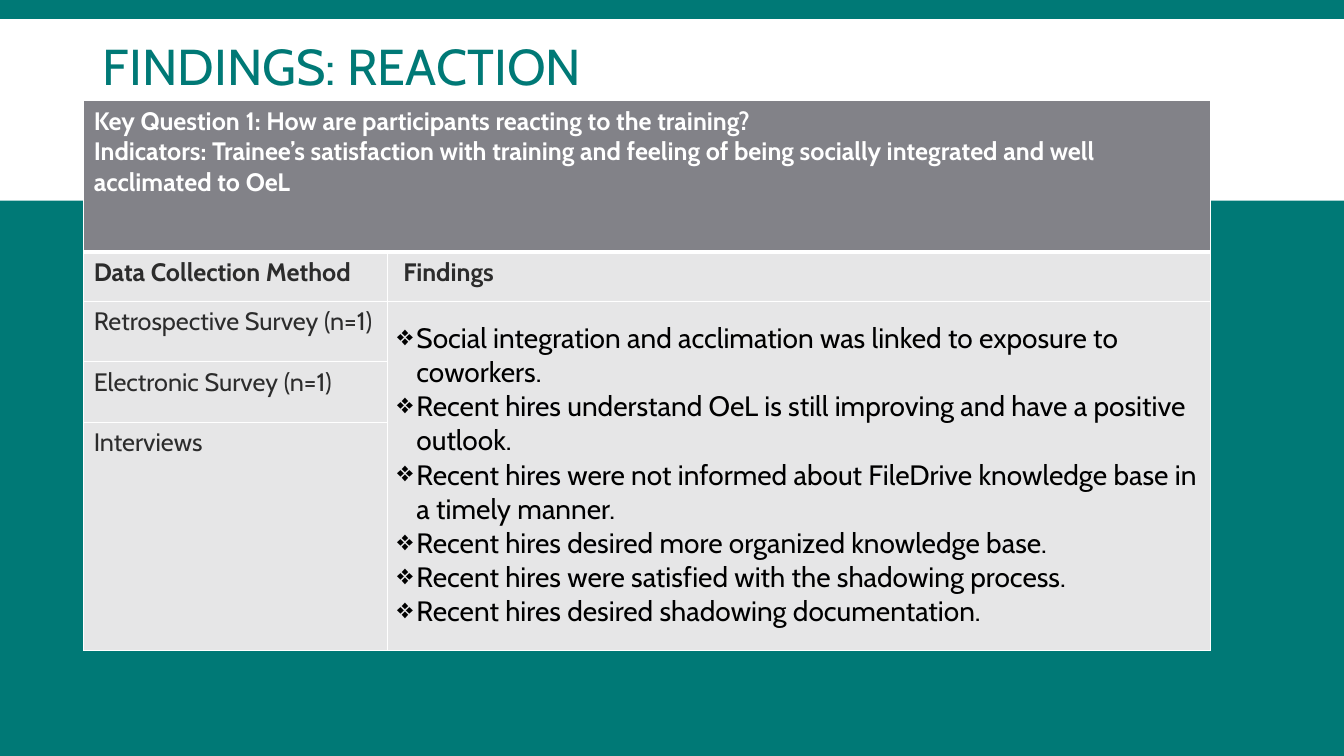
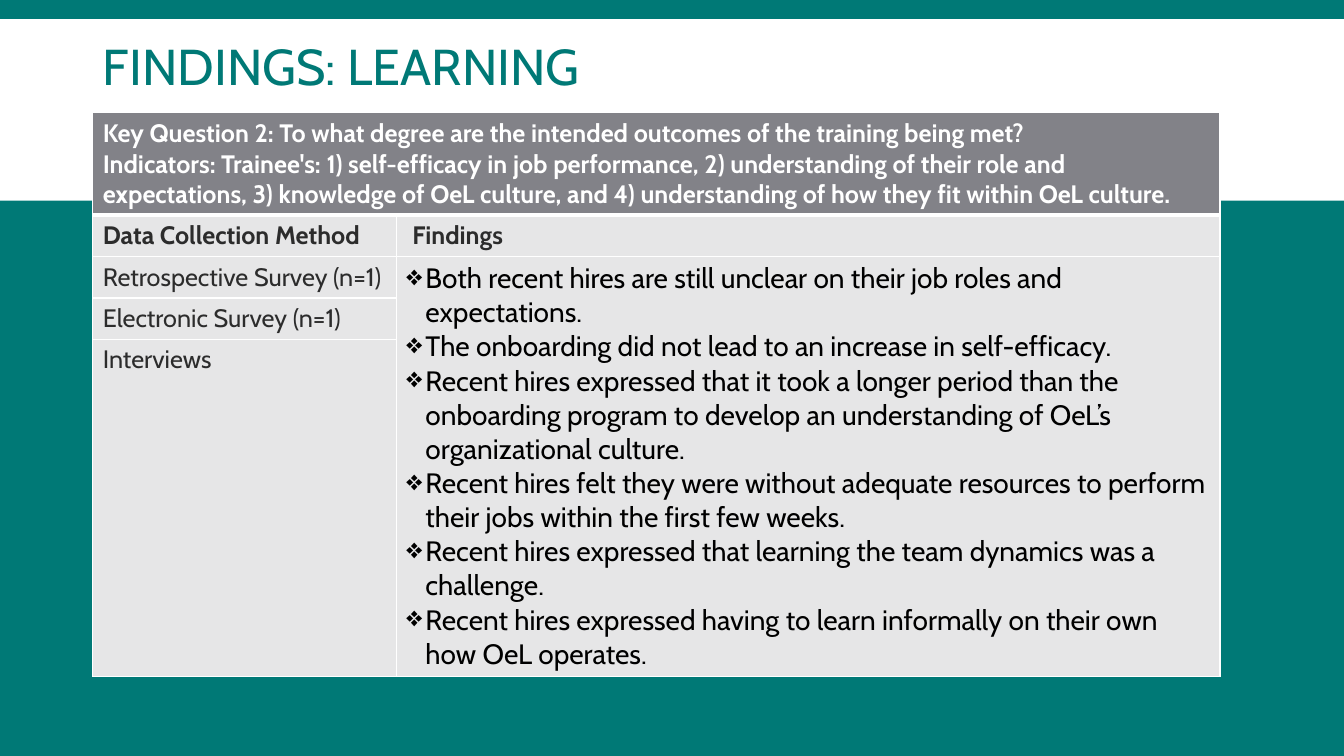
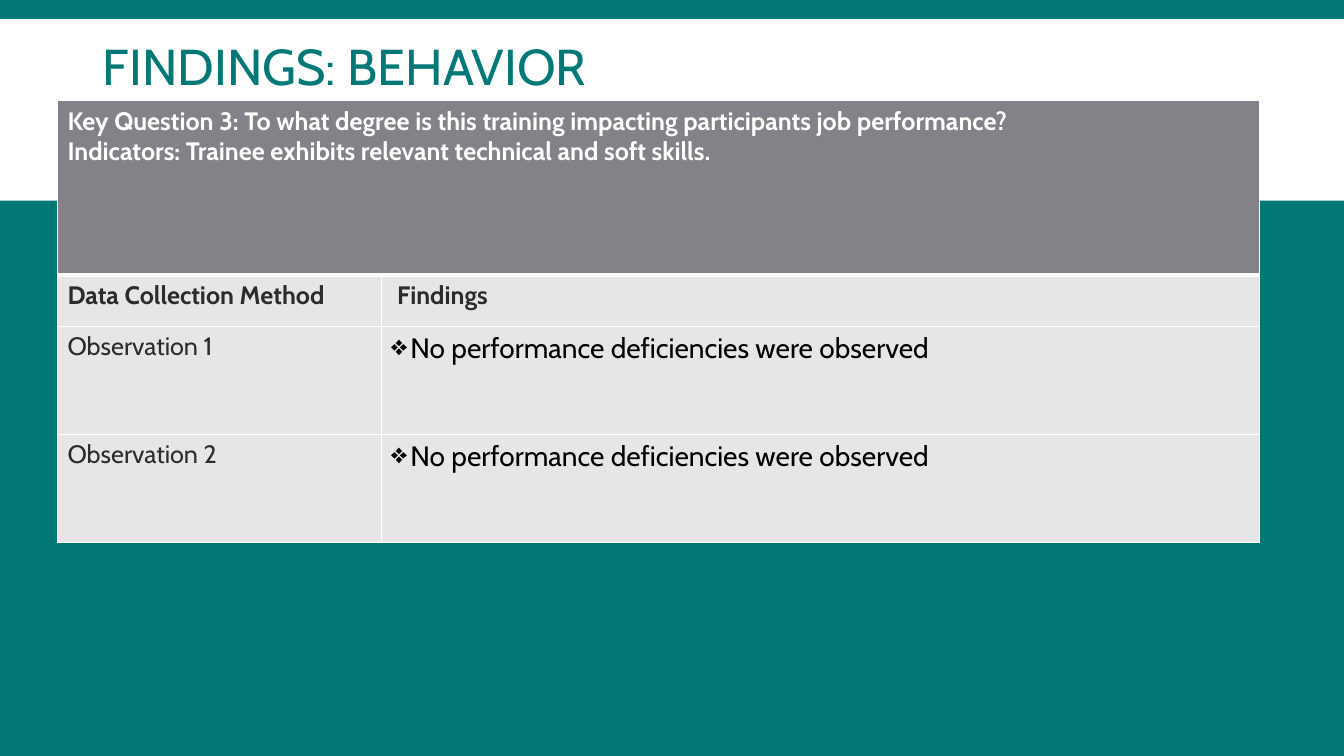
import dataclasses

import lxml.etree
import pptx
import pptx.dml.color
import pptx.enum.shapes
import pptx.enum.text
import pptx.oxml.ns
import pptx.util

PX = 9144  # one px is a hundredth of an inch
SLIDE_WIDTH, SLIDE_HEIGHT = 1333, 750


@dataclasses.dataclass(frozen=True)
class Theme:
    font: str = "Cabin"
    teal: str = "007976"
    white: str = "FFFFFF"
    question_fill: str = "828288"
    body_fill: str = "E6E6E7"
    body_text: str = "2C2C2C"
    finding_text: str = "000000"
    title_size: int = 36
    body_size: int = 18
    finding_size: int = 20
    thin_rule: int = 1
    thick_rule: int = 3


THEME = Theme()

# Content: every finding list faces one method cell or a merged run of them
FINDINGS_SLIDES = [
    {
        "title": "FINDINGS: REACTION",
        "left": 83, "top": 100, "columns": [301, 817],
        "rows": [150, 49, 60, 60, 226],
        "question": [
            "Key Question 1: How are participants reacting to the training?",
            "Indicators: Trainee’s satisfaction with training and feeling of being "
            "socially integrated and well acclimated to OeL",
        ],
        "methods": ["Retrospective Survey (n=1)", "Electronic Survey (n=1)", "Interviews"],
        "findings_margin": 20,
        "findings": [[
            "Social integration and acclimation was linked to exposure to coworkers.",
            "Recent hires understand OeL is still improving and have a positive outlook.",
            "Recent hires were not informed about FileDrive knowledge base in a timely manner.",
            "Recent hires desired more organized knowledge base.",
            "Recent hires were satisfied with the shadowing process.",
            "Recent hires desired shadowing documentation.",
        ]],
    },
    {
        "title": "FINDINGS: LEARNING",
        "left": 92, "top": 112, "columns": [301, 817],
        "rows": [101, 41, 41, 41, 334],
        "question": [
            "Key Question 2: To what degree are the intended outcomes of the training being met?",
            "Indicators: Trainee's: 1) self-efficacy in job performance, 2) understanding of "
            "their role and expectations, 3) knowledge of OeL culture, and 4) understanding of "
            "how they fit within OeL culture.",
        ],
        "methods": ["Retrospective Survey (n=1)", "Electronic Survey (n=1)", "Interviews"],
        "findings_margin": 5,
        "findings": [[
            "Both recent hires are still unclear on their job roles and expectations.",
            "The onboarding did not lead to an increase in self-efficacy.",
            "Recent hires expressed that it took a longer period than the onboarding program "
            "to develop an understanding of OeL’s organizational culture.",
            "Recent hires felt they were without adequate resources to perform their jobs "
            "within the first few weeks.",
            "Recent hires expressed that learning the team dynamics was a challenge.",
            "Recent hires expressed having to learn informally on their own how OeL operates.",
        ]],
    },
    {
        "title": "FINDINGS: BEHAVIOR",
        "left": 57, "top": 100, "columns": [321, 871],
        "rows": [173, 51, 107, 107],
        "question": [
            "Key Question 3: To what degree is this training impacting participants "
            "job performance?",
            "Indicators: Trainee exhibits relevant technical and soft skills.",
        ],
        "methods": ["Observation 1", "Observation 2"],
        "findings_margin": 5,
        "findings": [["No performance deficiencies were observed"]] * 2,
    },
]


def write_lines(frame, lines, size, color, bold=False, bullet=None):
    """Write one paragraph per line, with a hanging bullet if one is given."""
    for number, line in enumerate(lines):
        paragraph = frame.paragraphs[0] if number == 0 else frame.add_paragraph()
        paragraph.text = line
        if bullet:
            properties = paragraph._p.get_or_add_pPr()
            properties.set("marL", str(19 * PX))
            properties.set("indent", str(-19 * PX))
            lxml.etree.SubElement(
                properties, pptx.oxml.ns.qn("a:buChar")).set("char", bullet)
        paragraph.font.name = THEME.font
        paragraph.font.size = pptx.util.Pt(size)
        paragraph.font.bold = bold
        paragraph.font.color.rgb = pptx.dml.color.RGBColor.from_string(color)


def style_cell(cell, fill, top_rule, bottom_rule):
    """Rule a cell in white and fill it."""
    properties = cell._tc.get_or_add_tcPr()
    rules = {"L": THEME.thin_rule, "R": THEME.thin_rule, "T": top_rule, "B": bottom_rule}
    for side, points in rules.items():
        rule = lxml.etree.SubElement(properties, pptx.oxml.ns.qn(f"a:ln{side}"))
        rule.set("w", str(pptx.util.Pt(points)))
        paint = lxml.etree.SubElement(rule, pptx.oxml.ns.qn("a:solidFill"))
        lxml.etree.SubElement(paint, pptx.oxml.ns.qn("a:srgbClr")).set("val", THEME.white)
    cell.fill.solid()
    cell.fill.fore_color.rgb = pptx.dml.color.RGBColor.from_string(fill)


# Presentation and shared background
presentation = pptx.Presentation()
presentation.slide_width = SLIDE_WIDTH * PX
presentation.slide_height = SLIDE_HEIGHT * PX
title_only = presentation.slide_layouts[5]
title_only.background.fill.solid()
title_only.background.fill.fore_color.rgb = pptx.dml.color.RGBColor.from_string(THEME.teal)

for content in FINDINGS_SLIDES:
    slide = presentation.slides.add_slide(title_only)

    # White band behind the title
    band = slide.shapes.add_shape(
        pptx.enum.shapes.MSO_SHAPE.RECTANGLE, 0, 19 * PX, SLIDE_WIDTH * PX, 180 * PX)
    band.shadow.inherit = False
    band.fill.solid()
    band.fill.fore_color.rgb = pptx.dml.color.RGBColor.from_string(THEME.white)
    band.line.fill.background()
    slide.shapes.element.insert(2, band.element)

    # Title
    title = slide.shapes.title
    title.left, title.top, title.width, title.height = 92 * PX, 40 * PX, 1150 * PX, 60 * PX
    title.text_frame.vertical_anchor = pptx.enum.text.MSO_ANCHOR.MIDDLE
    title.text_frame.auto_size = pptx.enum.text.MSO_AUTO_SIZE.NONE
    write_lines(title.text_frame, [content["title"]], THEME.title_size, THEME.teal)
    title.text_frame.paragraphs[0].alignment = pptx.enum.text.PP_ALIGN.LEFT
    title.text_frame.paragraphs[0].line_spacing = 0.85

    # Table grid
    rows, columns = content["rows"], content["columns"]
    table = slide.shapes.add_table(
        len(rows), len(columns), content["left"] * PX, content["top"] * PX,
        sum(columns) * PX, sum(rows) * PX).table
    table.first_row = table.horz_banding = False
    for column, width in zip(table.columns, columns):
        column.width = width * PX
    for number, (row, height) in enumerate(zip(table.rows, rows)):
        row.height = height * PX
        for cell in row.cells:
            style_cell(
                cell,
                THEME.question_fill if number == 0 else THEME.body_fill,
                THEME.thick_rule if number == 1 else THEME.thin_rule,
                THEME.thick_rule if number == 0 else THEME.thin_rule)

    # Key question and column headings
    question = table.cell(0, 0)
    question.merge(table.cell(0, 1))
    write_lines(question.text_frame, content["question"],
                THEME.body_size, THEME.white, bold=True)
    for number, heading in enumerate(["Data Collection Method", "Findings"]):
        write_lines(table.cell(1, number).text_frame, [heading],
                    THEME.body_size, THEME.body_text, bold=True)
    table.cell(1, 1).margin_left = 16 * PX

    # Methods on the left, findings on the right
    for number, method in enumerate(content["methods"], start=2):
        write_lines(table.cell(number, 0).text_frame, [method],
                    THEME.body_size, THEME.body_text)
    span = len(content["methods"]) // len(content["findings"])
    for group, findings in enumerate(content["findings"]):
        first = 2 + group * span
        findings_cell = table.cell(first, 1)
        if span > 1:
            findings_cell.merge(table.cell(first + span - 1, 1))
        findings_cell.margin_top = content["findings_margin"] * PX
        write_lines(findings_cell.text_frame, findings,
                    THEME.finding_size, THEME.finding_text, bullet="❖")

presentation.save("out.pptx")
